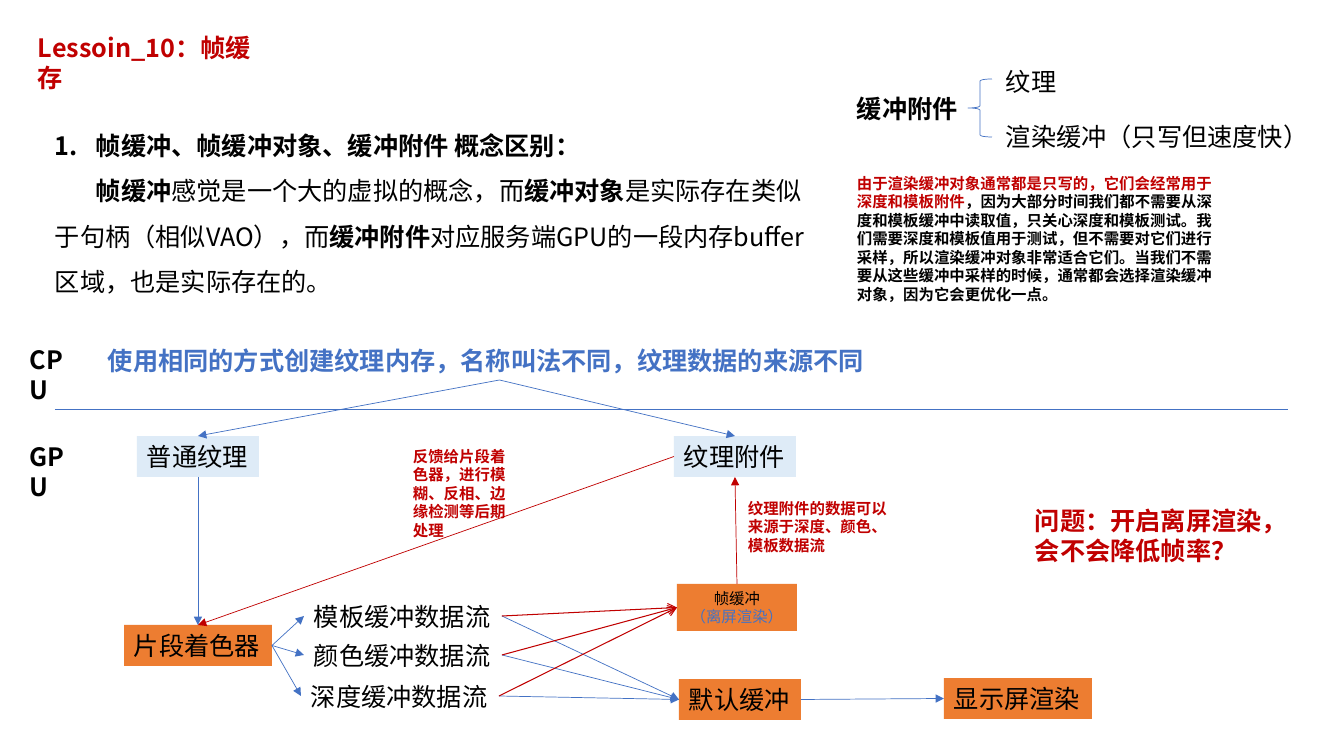
from dataclasses import dataclass

from lxml.etree import SubElement
from pptx import Presentation
from pptx.dml.color import RGBColor
from pptx.enum.shapes import MSO_CONNECTOR as Connector, MSO_SHAPE as Preset
from pptx.enum.text import PP_ALIGN as Align
from pptx.oxml.ns import qn
from pptx.util import Emu, Pt

PX = 914400 / 100.8
FONT = "Noto Sans CJK SC"
BLACK, RED, BLUE = "000000", "C00000", "4472C4"
ORANGE, PALE = "ED7D31", "DEEBF7"
TOP, LEFT, BOTTOM, RIGHT = range(4)


@dataclass(frozen=True)
class Span:
    """A stretch of text in one style."""
    text: str
    color: str = BLACK
    bold: bool = False


@dataclass(frozen=True)
class Block:
    """A text block in pixels, filled when it is a node of the pipeline."""
    left: int
    top: int
    width: int
    height: int
    paragraphs: tuple[tuple[Span, ...], ...]
    size: int = 18
    fill: str | None = None
    centred: bool = False


@dataclass(frozen=True)
class Flow:
    """An arrow between sides of two named blocks."""
    source: str
    source_side: int
    target: str
    target_side: int
    color: str = BLUE
    width: float = 0.5
    head: str = "triangle"


def px(length: float) -> Emu:
    """Turn pixels into EMU."""
    return Emu(round(length * PX))


def rgb(color: str) -> RGBColor:
    """Turn a hex string into a colour."""
    return RGBColor.from_string(color)


def plain(text: str, color: str = BLACK, bold: bool = False) -> tuple[tuple[Span, ...], ...]:
    """Make a single paragraph in one style."""
    return ((Span(text, color, bold),),)


def add_block(slide, block: Block):
    """Draw a text block and return its shape."""
    frame = tuple(map(px, (block.left, block.top, block.width, block.height)))
    shape = slide.shapes.add_textbox(*frame)
    if block.fill:
        shape.fill.solid()
        shape.fill.fore_color.rgb = rgb(block.fill)
    text_frame = shape.text_frame
    text_frame.word_wrap = True
    for index, spans in enumerate(block.paragraphs):
        paragraph = text_frame.add_paragraph() if index else text_frame.paragraphs[0]
        paragraph.alignment = Align.CENTER if block.centred else Align.LEFT
        for span in spans:
            run = paragraph.add_run()
            run.text = span.text
            font = run.font
            font.name, font.size, font.bold = FONT, Pt(block.size), span.bold
            font.color.rgb = rgb(span.color)
            SubElement(run.font._element, qn("a:ea"), typeface=FONT)
    return shape


def format_concepts(shape, indent: int) -> None:
    """Number the heading and indent the first line of the explanation."""
    heading, explanation = shape.text_frame.paragraphs
    for paragraph in (heading, explanation):
        paragraph.line_spacing = 1.5
    heading_props = heading._p.get_or_add_pPr()
    heading_props.set("marL", str(px(indent)))
    heading_props.set("indent", str(-px(indent)))
    SubElement(heading_props, qn("a:buFont"), typeface=FONT)
    SubElement(heading_props, qn("a:buAutoNum"), type="arabicPeriod")
    explanation._p.get_or_add_pPr().set("indent", str(px(indent)))


def add_line(slide, start: tuple[int, int], end: tuple[int, int], color: str, width: float):
    """Draw a straight line without shadow."""
    line = slide.shapes.add_connector(Connector.STRAIGHT, *map(px, start + end))
    line.line.color.rgb = rgb(color)
    line.line.width = Pt(width)
    SubElement(line._element.spPr, qn("a:effectLst"))
    return line


def add_flow(slide, flow: Flow, shapes: dict) -> None:
    """Draw an arrow glued to both of its blocks."""
    arrow = add_line(slide, (0, 0), (0, 0), flow.color, flow.width)
    arrow.begin_connect(shapes[flow.source], flow.source_side)
    arrow.end_connect(shapes[flow.target], flow.target_side)
    SubElement(arrow.line._get_or_add_ln(), qn("a:tailEnd"), type=flow.head)


def add_brace(slide, left: int, top: int, width: int, height: int) -> None:
    """Draw the brace that splits the attachment kinds."""
    brace = slide.shapes.add_shape(Preset.LEFT_BRACE, *map(px, (left, top, width, height)))
    brace.shadow.inherit = False
    brace.fill.background()
    brace.line.color.rgb = rgb(BLUE)
    brace.line.width = Pt(0.5)


CONCEPTS = (
    (Span("帧缓冲、帧缓冲对象、缓冲附件 概念区别：", bold=True),),
    (Span("帧缓冲", bold=True),
     Span("感觉是一个大的虚拟的概念，而"),
     Span("缓冲对象", bold=True),
     Span("是实际存在类似于句柄（相似VAO），而"),
     Span("缓冲附件", bold=True),
     Span("对应服务端GPU的一段内存buffer区域，也是实际存在的。")),
)
RENDERBUFFER_NOTE = ((
    Span("由于渲染缓冲对象通常都是只写的，它们会经常用于深度和模板附件", RED, True),
    Span("，因为大部分时间我们都不需要从深度和模板缓冲中读取值，只关心深度和模板测试。"
         "我们需要深度和模板值用于测试，但不需要对它们进行采样，所以渲染缓冲对象非常适合它们。"
         "当我们不需要从这些缓冲中采样的时候，通常都会选择渲染缓冲对象，因为它会更优化一点。",
         bold=True),
),)

BLOCKS = {
    "title": Block(28, 27, 246, 40, plain("Lessoin_10：帧缓存", RED, True)),
    "concepts": Block(45, 110, 774, 188, CONCEPTS),
    "attachment": Block(847, 88, 122, 40, plain("缓冲附件", bold=True)),
    "texture kind": Block(996, 61, 72, 40, plain("纹理")),
    "renderbuffer kind": Block(996, 116, 326, 40, plain("渲染缓冲（只写但速度快）")),
    "renderbuffer note": Block(847, 169, 381, 141, RENDERBUFFER_NOTE, 11),
    "cpu": Block(20, 339, 68, 40, plain("CPU", bold=True)),
    "gpu": Block(20, 436, 70, 40, plain("GPU", bold=True)),
    "creation": Block(98, 340, 803, 40, plain(
        "使用相同的方式创建纹理内存，名称叫法不同，纹理数据的来源不同", BLUE, True)),
    "texture": Block(137, 436, 122, 41, plain("普通纹理"), fill=PALE),
    "texture attachment": Block(674, 436, 122, 41, plain("纹理附件"), fill=PALE),
    "shader": Block(124, 625, 148, 41, plain("片段着色器"), fill=ORANGE),
    "stencil": Block(304, 596, 198, 40, plain("模板缓冲数据流")),
    "color": Block(304, 635, 198, 40, plain("颜色缓冲数据流")),
    "depth": Block(301, 676, 198, 40, plain("深度缓冲数据流")),
    "framebuffer": Block(677, 584, 120, 47, (
        (Span("帧缓冲"),), (Span("（离屏渲染）", BLUE),)), 11, ORANGE, True),
    "default buffer": Block(679, 679, 122, 41, plain("默认缓冲"), fill=ORANGE),
    "screen": Block(944, 678, 148, 41, plain("显示屏渲染"), fill=ORANGE),
    "source note": Block(738, 494, 164, 67, plain(
        "纹理附件的数据可以来源于深度、颜色、模板数据流", RED, True), 11),
    "feedback note": Block(403, 442, 122, 104, plain(
        "反馈给片段着色器，进行模糊、反相、边缘检测等后期处理", RED, True), 11),
    "question": Block(1025, 500, 263, 72, plain(
        "问题：开启离屏渲染，会不会降低帧率？", RED, True)),
}

STREAMS = ("stencil", "color", "depth")
FLOWS = [
    *(Flow("shader", RIGHT, stream, LEFT) for stream in STREAMS),
    *(Flow(stream, RIGHT, "default buffer", LEFT) for stream in STREAMS),
    *(Flow(stream, RIGHT, "framebuffer", LEFT, RED, 0.75, "arrow") for stream in STREAMS),
    *(Flow("creation", BOTTOM, kind, TOP) for kind in ("texture", "texture attachment")),
    Flow("default buffer", RIGHT, "screen", LEFT),
    Flow("texture", BOTTOM, "shader", TOP),
    Flow("texture attachment", LEFT, "shader", TOP, RED),
    Flow("framebuffer", TOP, "texture attachment", BOTTOM, RED),
]


def build() -> None:
    """Build the slide and save it."""
    deck = Presentation()
    deck.slide_width, deck.slide_height = px(1344), px(756)
    slide = deck.slides.add_slide(deck.slide_layouts[6])
    shapes = {name: add_block(slide, block) for name, block in BLOCKS.items()}
    format_concepts(shapes["concepts"], 41)
    add_brace(slide, 968, 79, 24, 58)
    add_line(slide, (55, 409), (1288, 409), BLUE, 0.5)
    for flow in FLOWS:
        add_flow(slide, flow, shapes)
    deck.save("out.pptx")


build()
